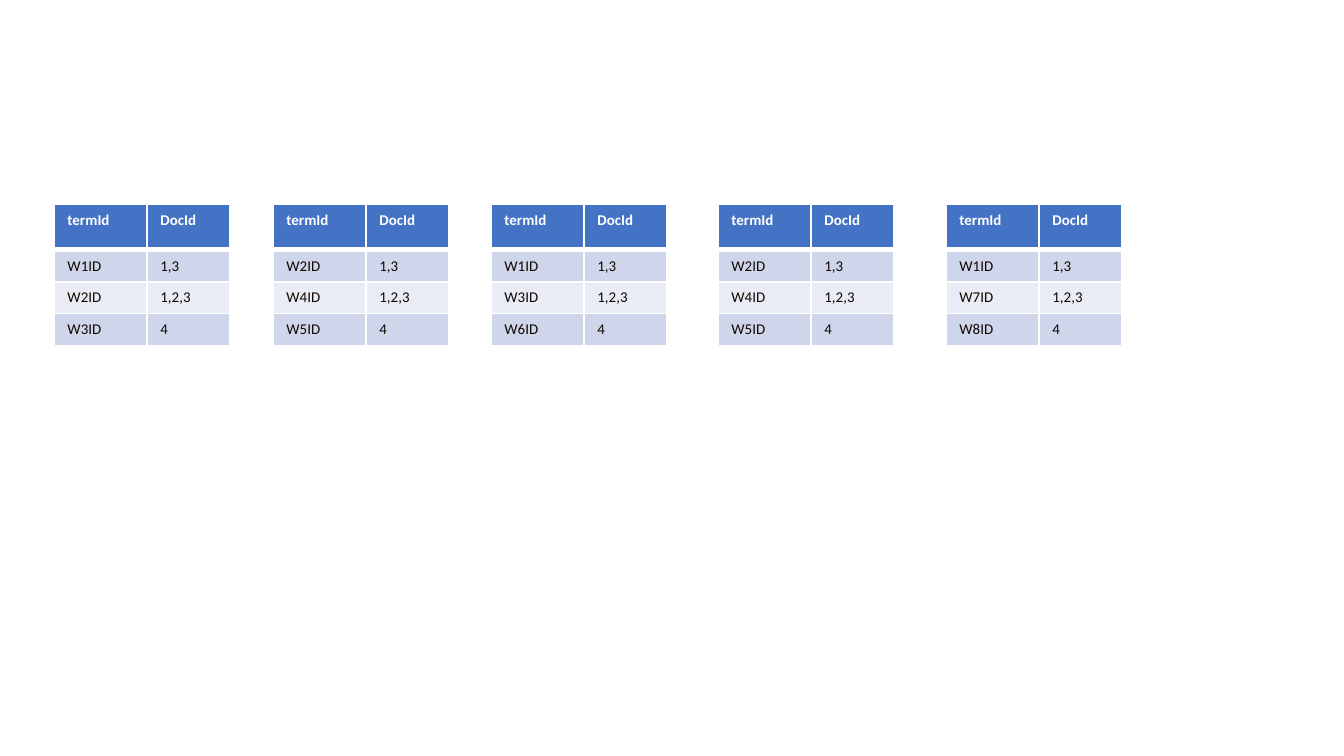
from lxml.etree import SubElement
from pptx import Presentation
from pptx.dml.color import RGBColor
from pptx.oxml.ns import qn
from pptx.util import Pt

EMU_PER_PX = 914400 / 134.4
TABLE_TOP, TABLE_HEIGHT = 204, 140
COLUMN_WIDTHS = (93, 83)
ROW_HEIGHTS = (46, 27, 27, 27)
ROW_FILLS = ("4472C4", "CFD5EA", "E9EBF5", "CFD5EA")
HEADERS = ("termId", "DocId")
DOC_IDS = ("1,3", "1,2,3", "4")
POSTINGS = (
    (54, ("W1ID", "W2ID", "W3ID")),
    (273, ("W2ID", "W4ID", "W5ID")),
    (491, ("W1ID", "W3ID", "W6ID")),
    (718, ("W2ID", "W4ID", "W5ID")),
    (946, ("W1ID", "W7ID", "W8ID")),
)


def px(length):
    """Turn whole pixels into EMU."""
    return round(length * EMU_PER_PX)


def color(value):
    """Turn a hex string into a colour."""
    return RGBColor.from_string(value)


def add_borders(cell, row_index):
    """Draw white cell borders, thicker under the header."""
    properties = cell._tc.get_or_add_tcPr()
    widths = {
        "L": 1,
        "R": 1,
        "T": 3 if row_index == 1 else 1,
        "B": 3 if row_index == 0 else 1,
    }
    for side, width in widths.items():
        line = SubElement(properties, qn(f"a:ln{side}"), w=str(Pt(width)))
        fill = SubElement(line, qn("a:solidFill"))
        SubElement(fill, qn("a:srgbClr"), val="FFFFFF")


def format_cell(cell, text, row_index):
    """Write and style one cell."""
    is_header = row_index == 0
    add_borders(cell, row_index)
    cell.fill.solid()
    cell.fill.fore_color.rgb = color(ROW_FILLS[row_index])
    cell.text = text
    font = cell.text_frame.paragraphs[0].font
    font.name = "Calibri"
    font.size = Pt(8)
    font.bold = is_header
    font.color.rgb = color("FFFFFF" if is_header else "100700")


def add_posting_table(slide, left, term_ids):
    """Add a table that maps terms to documents."""
    rows = [HEADERS, *zip(term_ids, DOC_IDS)]
    shape = slide.shapes.add_table(
        len(rows), len(HEADERS), px(left), px(TABLE_TOP),
        px(sum(COLUMN_WIDTHS)), px(TABLE_HEIGHT),
    )
    table = shape.table
    for column, width in zip(table.columns, COLUMN_WIDTHS):
        column.width = px(width)
    for row, height in zip(table.rows, ROW_HEIGHTS):
        row.height = px(height)
    shape.height = px(TABLE_HEIGHT)
    for row_index, values in enumerate(rows):
        for column_index, text in enumerate(values):
            format_cell(table.cell(row_index, column_index), text, row_index)


def main():
    """Build the slide with its posting tables."""
    presentation = Presentation()
    presentation.slide_width = px(1344)
    presentation.slide_height = px(756)
    slide = presentation.slides.add_slide(presentation.slide_layouts[6])
    for left, term_ids in POSTINGS:
        add_posting_table(slide, left, term_ids)
    presentation.save("out.pptx")


if __name__ == "__main__":
    main()
